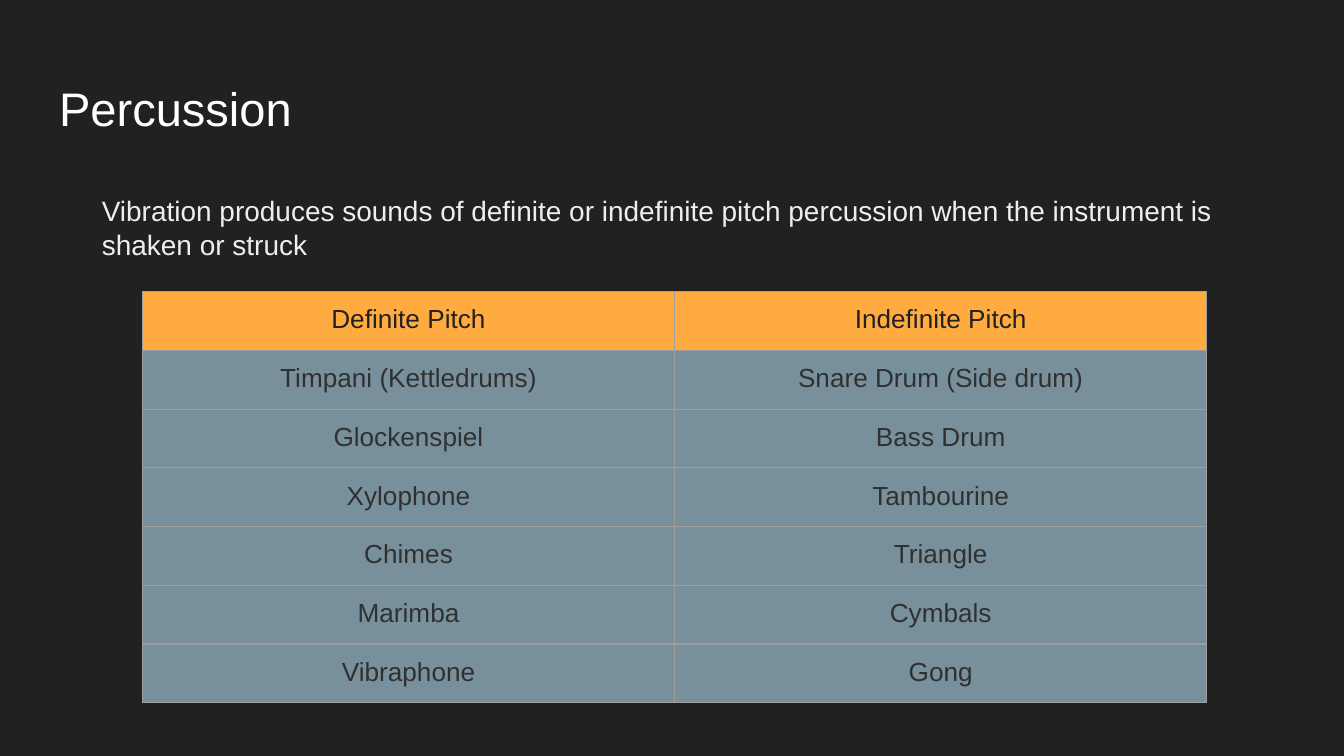
from dataclasses import dataclass

from lxml.etree import SubElement
from pptx import Presentation
from pptx.dml.color import RGBColor as RGB
from pptx.enum.text import MSO_ANCHOR, MSO_AUTO_SIZE, PP_ALIGN
from pptx.oxml.ns import qn
from pptx.util import Inches, Pt

# Content
TITLE = "Percussion"
SUMMARY = ("Vibration produces sounds of definite or indefinite pitch percussion "
           "when the instrument is shaken or struck")
INSTRUMENTS = [
    ("Definite Pitch", "Indefinite Pitch"),
    ("Timpani (Kettledrums)", "Snare Drum (Side drum)"),
    ("Glockenspiel", "Bass Drum"),
    ("Xylophone", "Tambourine"),
    ("Chimes", "Triangle"),
    ("Marimba", "Cymbals"),
    ("Vibraphone", "Gong"),
]


@dataclass(frozen=True)
class Theme:
    font: str = "Arial"
    background: str = "212121"
    title: str = "FFFFFF"
    summary: str = "EEEEEE"
    header_text: str = "212121"
    body_text: str = "303030"
    header_fill: str = "FFAB40"
    body_fill: str = "78909C"
    border: str = "9E9E9E"
    title_size: float = 25.2
    summary_size: float = 15
    table_size: float = 14
    border_width: float = 0.75


THEME = Theme()

# Layout in inches: left, top, width, height
SLIDE_WIDTH = 10
SLIDE_SIZE = (SLIDE_WIDTH, SLIDE_WIDTH * 9 / 16)
TITLE_BOX = (0.34, 0.49, 9.32, 0.63)
SUMMARY_BOX = (0.66, 1.34, 8.7, 0.71)
TABLE_BOX = (1.06, 2.17, 7.92, 3.06)
INSET = Inches(0.1)


def write(frame, text, size, color, align=PP_ALIGN.LEFT):
    paragraph = frame.paragraphs[0]
    paragraph.alignment = align
    run = paragraph.add_run()
    run.text = text
    run.font.name = THEME.font
    run.font.size = Pt(size)
    run.font.bold = False
    run.font.color.rgb = RGB.from_string(color)


def set_insets(box):
    box.margin_left = box.margin_right = box.margin_top = box.margin_bottom = INSET


def draw_borders(cell):
    properties = cell._tc.get_or_add_tcPr()
    for side in ("a:lnL", "a:lnR", "a:lnT", "a:lnB"):
        line = SubElement(properties, qn(side), w=str(Pt(THEME.border_width)))
        fill = SubElement(line, qn("a:solidFill"))
        SubElement(fill, qn("a:srgbClr"), val=THEME.border)


prs = Presentation()
prs.slide_width, prs.slide_height = map(Inches, SLIDE_SIZE)
slide = prs.slides.add_slide(prs.slide_layouts[5])
slide.background.fill.solid()
slide.background.fill.fore_color.rgb = RGB.from_string(THEME.background)

# Title
title = slide.shapes.title
title.left, title.top, title.width, title.height = map(Inches, TITLE_BOX)
title_frame = title.text_frame
set_insets(title_frame)
title_frame.auto_size = MSO_AUTO_SIZE.NONE
title_frame.vertical_anchor = MSO_ANCHOR.MIDDLE
write(title_frame, TITLE, THEME.title_size, THEME.title)

# Instrument table
left, top, width, height = map(Inches, TABLE_BOX)
row_count, column_count = len(INSTRUMENTS), len(INSTRUMENTS[0])
table = slide.shapes.add_table(row_count, column_count, left, top, width, height).table
for row, names in enumerate(INSTRUMENTS):
    is_header = row == 0
    text_color = THEME.header_text if is_header else THEME.body_text
    fill_color = THEME.header_fill if is_header else THEME.body_fill
    for column, name in enumerate(names):
        cell = table.cell(row, column)
        set_insets(cell)
        draw_borders(cell)
        cell.fill.solid()
        cell.fill.fore_color.rgb = RGB.from_string(fill_color)
        write(cell.text_frame, name, THEME.table_size, text_color, PP_ALIGN.CENTER)

# Summary
summary_frame = slide.shapes.add_textbox(*map(Inches, SUMMARY_BOX)).text_frame
set_insets(summary_frame)
summary_frame.word_wrap = True
summary_frame.auto_size = MSO_AUTO_SIZE.SHAPE_TO_FIT_TEXT
write(summary_frame, SUMMARY, THEME.summary_size, THEME.summary)

prs.save("out.pptx")
